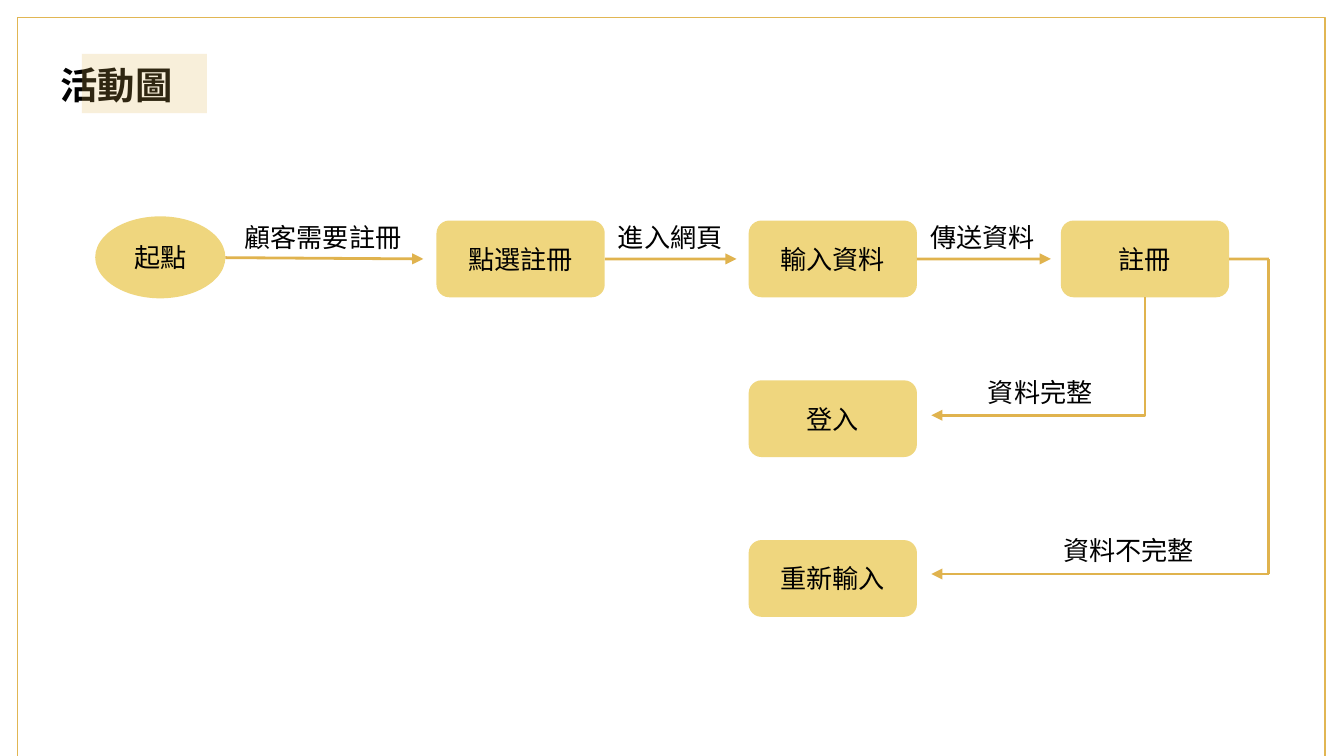
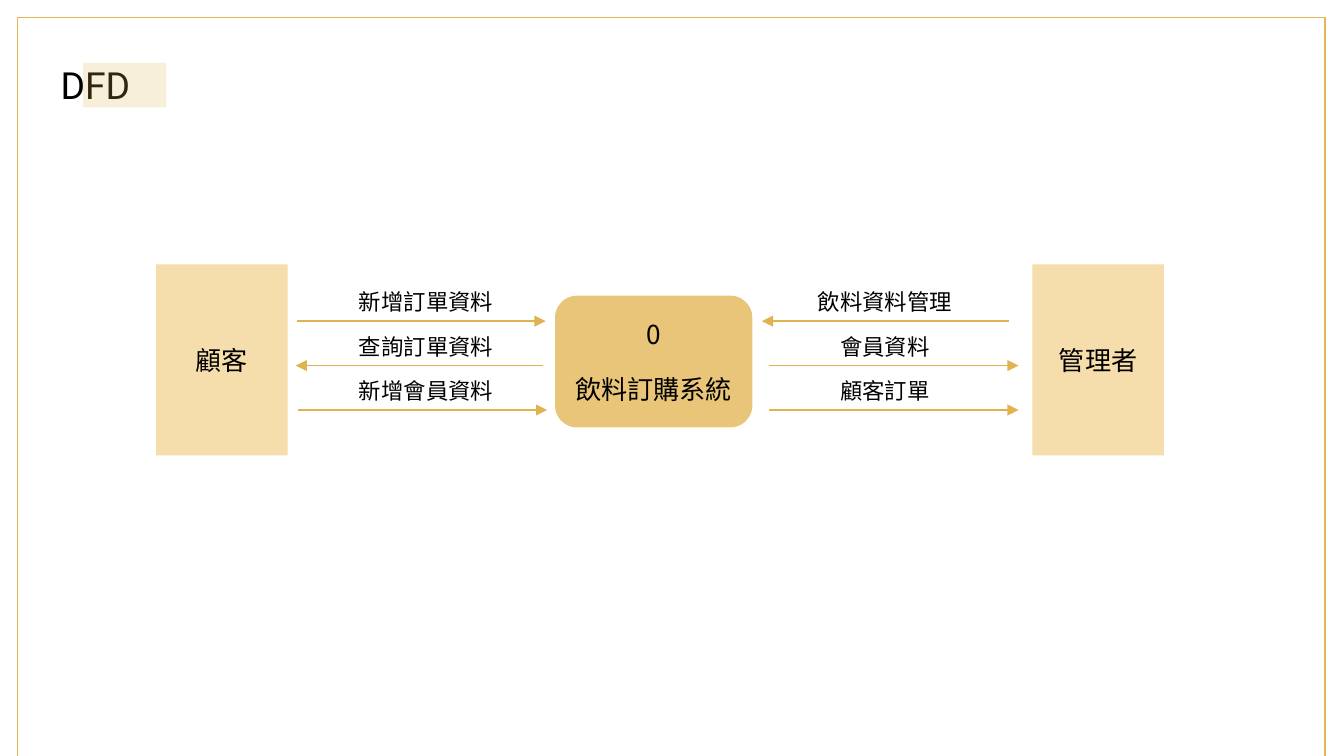
from dataclasses import dataclass

from lxml.etree import SubElement
from pptx import Presentation
from pptx.dml.color import RGBColor
from pptx.enum.shapes import MSO_CONNECTOR, MSO_SHAPE
from pptx.enum.text import MSO_ANCHOR, MSO_AUTO_SIZE, PP_ALIGN
from pptx.oxml.ns import qn
from pptx.util import Cm, Pt


@dataclass(frozen=True)
class Theme:
    frame: RGBColor = RGBColor.from_string("E1B653")
    arrow: RGBColor = RGBColor.from_string("E0B34E")
    step: RGBColor = RGBColor.from_string("EFD67E")
    entity: RGBColor = RGBColor.from_string("F5DDAC")
    process: RGBColor = RGBColor.from_string("E8C578")
    ink: RGBColor = RGBColor.from_string("000000")
    title_font: str = "Roboto"
    body_font: str = "Noto Sans CJK SC"
    title_size: int = 20
    body_size: int = 14
    flow_size: int = 12
    thin: float = 0.75
    thick: float = 1.5
    highlight_alpha: int = 21


THEME = Theme()
RIGHT_SIDE = 3


def format_text(frame, size, font=THEME.body_font, bold=False):
    for paragraph in frame.paragraphs:
        for run in paragraph.runs:
            run.font.name = font
            run.font.size = Pt(size)
            run.font.bold = bold
            run.font.color.rgb = THEME.ink
            east_asian = SubElement(run.font._element, qn("a:ea"))
            east_asian.set("typeface", THEME.body_font)


def add_plain_shape(slide, preset, bounds, fill=None):
    shape = slide.shapes.add_shape(preset, *(Cm(value) for value in bounds))
    shape.shadow.inherit = False
    shape.line.fill.background()
    if fill is None:
        shape.fill.background()
    else:
        shape.fill.solid()
        shape.fill.fore_color.rgb = fill
    return shape


def add_node(slide, text, bounds, fill, preset=MSO_SHAPE.ROUNDED_RECTANGLE):
    node = add_plain_shape(slide, preset, bounds, fill)
    frame = node.text_frame
    frame.text = text
    frame.word_wrap = True
    frame.vertical_anchor = MSO_ANCHOR.MIDDLE
    for paragraph in frame.paragraphs:
        paragraph.alignment = PP_ALIGN.CENTER
    format_text(frame, THEME.body_size)
    return node


def add_label(slide, text, left, top, size=THEME.body_size):
    """Place a one-line label whose box is as wide as its full-width characters."""
    label = slide.shapes.add_textbox(
        Cm(left), Cm(top), label_width(text, size), Pt(size * 1.2) + Cm(0.25))
    frame = label.text_frame
    frame.text = text
    frame.word_wrap = False
    frame.auto_size = MSO_AUTO_SIZE.SHAPE_TO_FIT_TEXT
    format_text(frame, size)


def label_width(text, size):
    return Pt(size * len(text)) + Cm(0.51)


def style_line(line, width, arrow):
    line.line.color.rgb = THEME.arrow
    line.line.width = Pt(width)
    if arrow:
        SubElement(line.line._get_or_add_ln(), qn("a:tailEnd")).set("type", "triangle")
    SubElement(line._element.spPr, qn("a:effectLst"))


def add_line(slide, start, end, width=THEME.thick, arrow=True, source=None):
    """Draw a straight line, joined to the right side of source when given."""
    line = slide.shapes.add_connector(
        MSO_CONNECTOR.STRAIGHT, *(Cm(value) for value in (*start, *end)))
    if source is not None:
        line.begin_connect(source, RIGHT_SIDE)
    style_line(line, width, arrow)


def add_corner_arrow(slide, start, end):
    """Draw an arrow that goes down from start, then left to end."""
    half_run, half_drop = (start[0] - end[0]) / 2, (end[1] - start[1]) / 2
    middle_x, middle_y = end[0] + half_run, start[1] + half_drop
    # The one-corner preset turns right then down; a quarter turn swaps its sides.
    corner = slide.shapes.add_connector(
        MSO_CONNECTOR.ELBOW,
        Cm(middle_x - half_drop), Cm(middle_y - half_run),
        Cm(middle_x + half_drop), Cm(middle_y + half_run))
    properties = corner._element.spPr
    properties.find(qn("a:xfrm")).set("rot", "5400000")
    properties.find(qn("a:prstGeom")).set("prst", "bentConnector2")
    style_line(corner, THEME.thick, arrow=True)


def add_titled_slide(prs, layout, text, highlight_bounds, bold=False):
    slide = prs.slides.add_slide(layout)
    title = slide.shapes.title
    title.left, title.top, title.width, title.height = Cm(0.89), Cm(1.04), Cm(4.95), Cm(1.12)
    frame = title.text_frame
    frame.text = text
    frame.word_wrap = True
    frame.auto_size = MSO_AUTO_SIZE.SHAPE_TO_FIT_TEXT
    frame.vertical_anchor = MSO_ANCHOR.TOP
    frame.paragraphs[0].alignment = PP_ALIGN.LEFT
    format_text(frame, THEME.title_size, THEME.title_font, bold)

    highlight = add_plain_shape(slide, MSO_SHAPE.RECTANGLE, highlight_bounds, THEME.frame)
    colour = highlight._element.spPr.find(qn("a:solidFill"))[0]
    SubElement(colour, qn("a:alpha")).set("val", str(THEME.highlight_alpha * 1000))
    return slide


def move_frame_to_layout(slide, layout):
    """Draw the page frame once and hand it to the layout that all slides share."""
    frame = add_plain_shape(slide, MSO_SHAPE.RECTANGLE, (0.33, 0.33, 24.71, 13.97))
    frame.line.color.rgb = THEME.frame
    frame.line.width = Pt(THEME.thin)
    layout.shapes.element.insert(2, frame.element)


def build_activity_diagram(slide):
    step_left, step_top, step_width, step_height = 8.25, 4.17, 3.18, 1.45
    column_pitch, row_pitch = 5.9, 3.02
    flow_y = step_top + step_height / 2
    label_top = 4.06

    def add_step(text, column, row=0):
        bounds = (step_left + column * column_pitch, step_top + row * row_pitch,
                  step_width, step_height)
        return add_node(slide, text, bounds, THEME.step)

    add_node(slide, "起點", (1.8, 4.09, 2.46, 1.55), THEME.step, MSO_SHAPE.OVAL)
    choose, enter, register = (
        add_step(text, column) for column, text in enumerate(("點選註冊", "輸入資料", "註冊")))
    add_step("登入", 1, 1)
    add_step("重新輸入", 1, 2)

    add_line(slide, (4.26, 4.87), (8, flow_y))
    add_label(slide, "顧客需要註冊", 4.37, label_top)
    for column, (source, text, tip) in enumerate(
            ((choose, "進入網頁", 13.92), (enter, "傳送資料", 19.86))):
        right = step_left + step_width + column * column_pitch
        add_line(slide, (right, flow_y), (tip, flow_y), source=source)
        add_label(slide, text, right, label_top)

    register_left = step_left + 2 * column_pitch
    return_tip, return_x, retry_y = 17.6, 23.98, 10.85
    add_corner_arrow(slide, (register_left + step_width / 2, step_top + step_height),
                     (return_tip, 7.85))
    add_line(slide, (register_left + step_width, flow_y), (return_x, flow_y),
             arrow=False, source=register)
    add_line(slide, (return_x, flow_y), (return_x, retry_y), arrow=False)
    add_line(slide, (return_x, retry_y), (return_tip, retry_y))
    add_label(slide, "資料完整", 18.42, 6.99)
    add_label(slide, "資料不完整", 19.84, 9.98)


def add_flows(slide, label_centre, flows):
    """Stack labelled arrows; each flow is its text, start x and end x."""
    for row, (text, start, end) in enumerate(flows):
        drop = row * 0.84
        add_line(slide, (start, 6.07 + drop), (end, 6.07 + drop), THEME.thin)
        left = label_centre - label_width(text, THEME.flow_size) / Cm(1) / 2
        add_label(slide, text, left, 5.33 + drop, THEME.flow_size)


def build_data_flow_diagram(slide):
    for text, left in (("顧客", 2.95), ("管理者", 19.51)):
        add_node(slide, text, (left, 5, 2.49, 3.61), THEME.entity, MSO_SHAPE.RECTANGLE)
    system = add_node(slide, "0\n飲料訂購系統", (10.49, 5.59, 3.73, 2.49), THEME.process)
    system.text_frame.paragraphs[1].space_before = Pt(13)

    add_flows(slide, 8.06, (("新增訂單資料", 5.61, 10.31),
                            ("查詢訂單資料", 10.26, 5.59),
                            ("新增會員資料", 5.64, 10.34)))
    add_flows(slide, 16.73, (("飲料資料管理", 19.07, 14.4),
                             ("會員資料", 14.53, 19.25),
                             ("顧客訂單", 14.53, 19.25)))


def main():
    prs = Presentation()
    prs.slide_width, prs.slide_height = Cm(25.4), Cm(14.29)
    layout = prs.slide_layouts.get_by_name("Title Only")

    activity = add_titled_slide(prs, layout, "活動圖", (1.55, 1.02, 2.36, 1.12), bold=True)
    move_frame_to_layout(activity, layout)
    build_activity_diagram(activity)

    data_flow = add_titled_slide(prs, layout, "DFD", (1.57, 1.19, 1.57, 0.84))
    build_data_flow_diagram(data_flow)

    prs.save("out.pptx")


if __name__ == "__main__":
    main()
